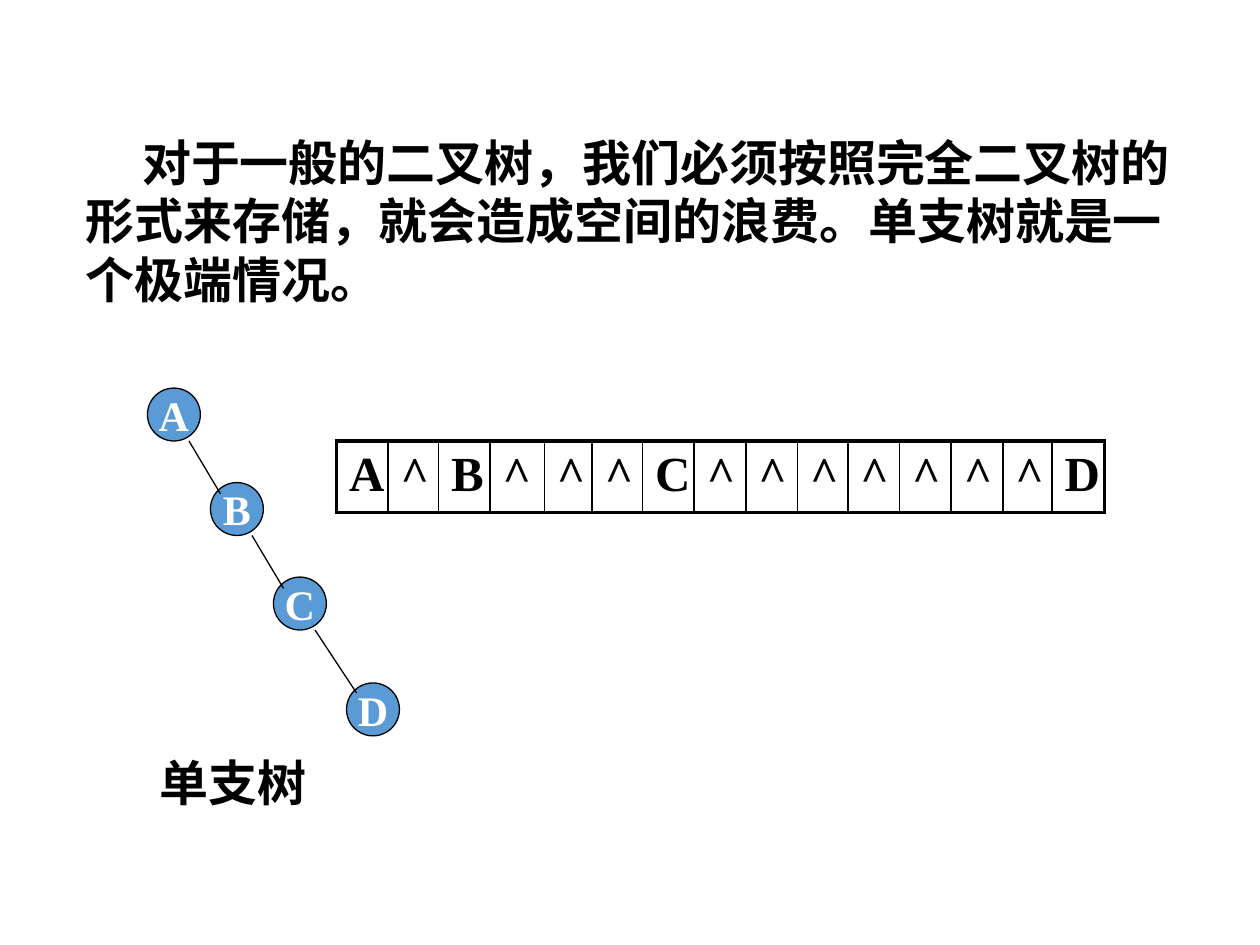
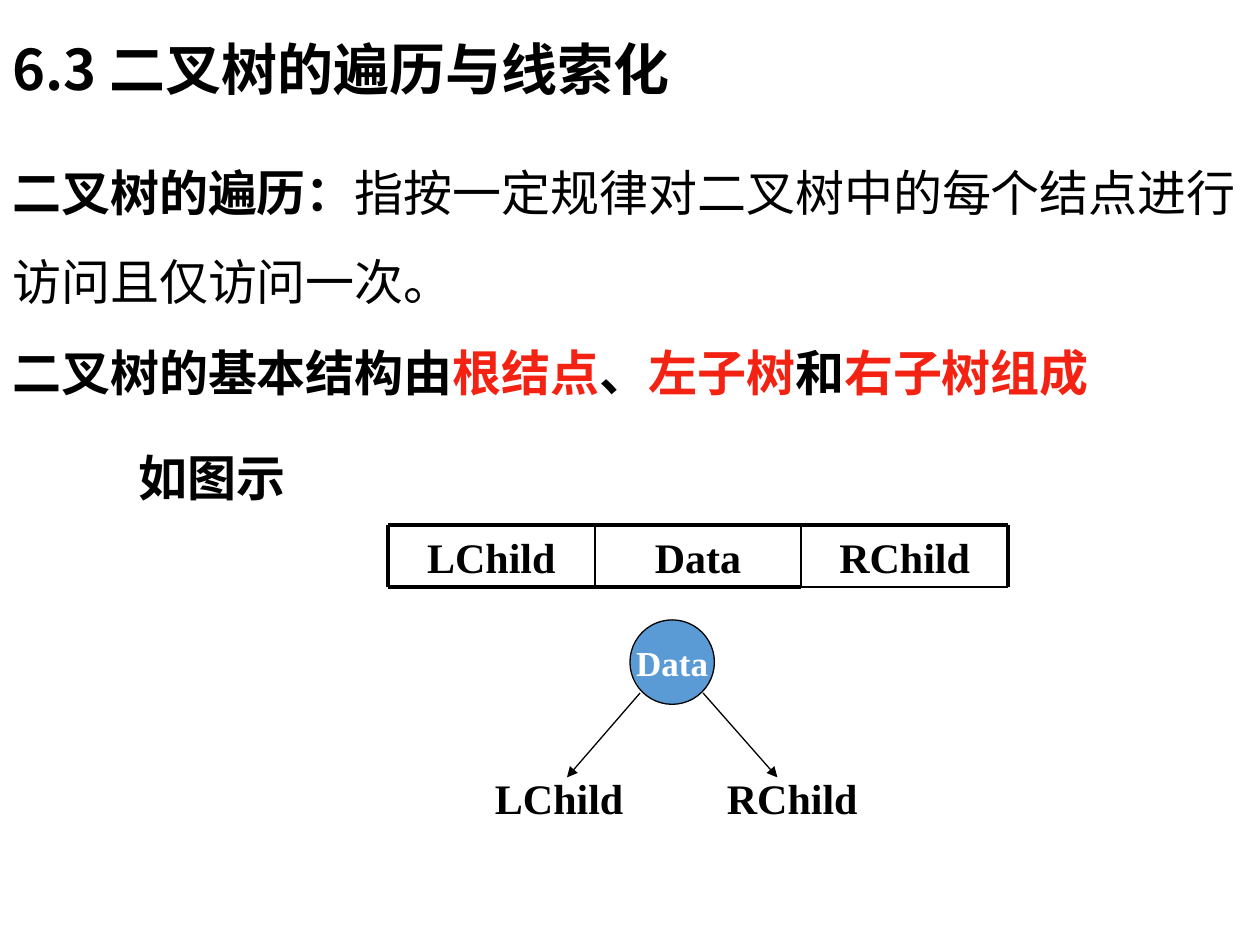
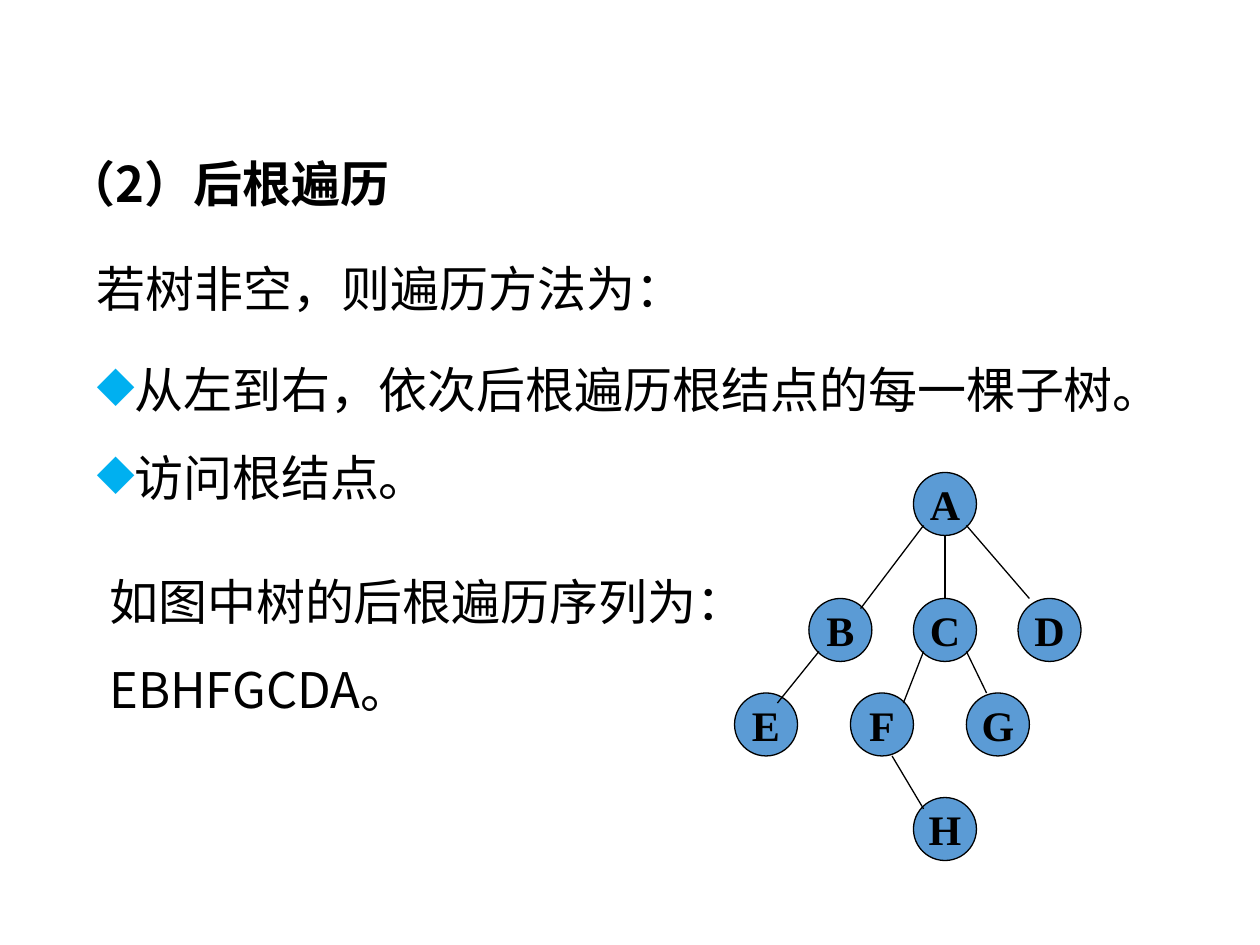
import pptx
import pptx.chart
import pptx.dml.color
import pptx.enum.shapes
import pptx.enum.text
import pptx.oxml
import pptx.oxml.ns
import pptx.util
from lxml import etree

Inches = pptx.util.Inches
Pt = pptx.util.Pt
ALIGN = pptx.enum.text.PP_ALIGN
ANCHOR = pptx.enum.text.MSO_ANCHOR

SERIF = "Times New Roman"
SANS = "Noto Sans CJK SC"
BLACK, WHITE, RED, BLUE, CYAN = "000000", "FFFFFF", "F42212", "5B9BD5", "00B0F0"
THIN, MEDIUM, THICK = 0.75, 1, 2.25
LINE_HEIGHT = 1.2

INTRO = "对于一般的二叉树，我们必须按照完全二叉树的形式来存储，就会造成空间的浪费。单支树就是一个极端情况。"
CHAIN_NODES = [("A", 1.17, 3.08), ("B", 1.67, 3.83), ("C", 2.17, 4.58), ("D", 2.75, 5.42)]
CHAIN_EDGES = [
    ((1.5, 3.5), (1.75, 3.92)),
    ((2, 4.25), (2.25, 4.67)),
    ((2.5, 5), (2.83, 5.5)),
]
STORAGE = "A^B^^^C^^^^^^^D"
STORAGE_WIDTHS = [0.41, 0.4, 0.41, 0.43, 0.38, 0.4, 0.41, 0.41, 0.41, 0.4, 0.41, 0.41, 0.41, 0.39, 0.42]

SECTION = "6.3 二叉树的遍历与线索化"
DEFINITION = [
    ("二叉树的遍历：", BLACK, True),
    ("指按一定规律对二叉树中的每个结点进行访问且仅访问一次。", BLACK, False),
]
STRUCTURE = [
    ("二叉树的基本结构由", BLACK, True),
    ("根结点", RED, True),
    ("、", BLACK, True),
    ("左子树", RED, True),
    ("和", BLACK, True),
    ("右子树组成", RED, True),
]
FIELDS = ["LChild", "Data", "RChild"]
CHILDREN = [("LChild", 3.83, (5.08, 5.5), (4.5, 6.17)), ("RChild", 5.67, (5.58, 5.5), (6.17, 6.17))]

POSTORDER = "（2）后根遍历"
METHOD = "若树非空，则遍历方法为："
STEPS = ["从左到右，依次后根遍历根结点的每一棵子树。", "访问根结点。"]
SEQUENCE = "如图中树的后根遍历序列为：EBHFGCDA。"
TREE_NODES = [
    ("A", 7.25, 3.75), ("B", 6.42, 4.75), ("E", 5.83, 5.5), ("C", 7.25, 4.75),
    ("D", 8.08, 4.75), ("F", 6.75, 5.5), ("G", 7.67, 5.5), ("H", 7.25, 6.33),
]
TREE_EDGES = [
    ((7.33, 4.17), (6.83, 4.83)),
    ((6.5, 5.17), (6.17, 5.58)),
    ((7.5, 4.25), (7.5, 4.75)),
    ((7.67, 4.17), (8.17, 4.75)),
    ((7.33, 5.17), (7.17, 5.58)),
    ((7.67, 5.17), (7.83, 5.5)),
    ((7.08, 6), (7.33, 6.42)),
]


def rgb(value):
    return pptx.dml.color.RGBColor.from_string(value)


def add_xml(parent, tag, **attributes):
    child = etree.SubElement(parent, pptx.oxml.ns.qn(tag))
    for key, value in attributes.items():
        child.set(key, str(value))
    return child


def format_run(run, size, font, color, bold):
    run.font.size = Pt(size)
    run.font.name = font
    run.font.bold = bold
    run.font.color.rgb = rgb(color)
    add_xml(run.font._element, "a:ea", typeface=SANS)


def write(frame, paragraphs, size=28, font=SERIF, spacing=1, align=ALIGN.LEFT, bullet=None, indent=0):
    frame.word_wrap = True
    frame.auto_size = pptx.enum.text.MSO_AUTO_SIZE.NONE
    frame.vertical_anchor = ANCHOR.TOP
    for index, pieces in enumerate(paragraphs):
        paragraph = frame.add_paragraph() if index else frame.paragraphs[0]
        properties = paragraph._p.get_or_add_pPr()
        if bullet:
            properties.set("marL", str(Inches(0.25)))
            properties.set("indent", str(-Inches(0.25)))
            add_xml(add_xml(properties, "a:buClr"), "a:srgbClr", val=CYAN)
            add_xml(properties, "a:buChar", char=bullet)
        elif indent:
            properties.set("indent", str(Inches(indent)))
        paragraph.alignment = align
        paragraph.line_spacing = Pt(size * LINE_HEIGHT * spacing)
        for wording, color, bold in pieces:
            run = paragraph.add_run()
            run.text = wording
            format_run(run, size, font, color, bold)


def plain(wording, bold=True):
    return [(wording, BLACK, bold)]


def add_text(slide, box, paragraphs, **style):
    write(slide.shapes.add_textbox(*map(Inches, box)).text_frame, paragraphs, **style)


def add_title(slide, box, wording, size):
    title = slide.shapes.title
    title.left, title.top, title.width, title.height = map(Inches, box)
    write(title.text_frame, [plain(wording)], size=size, font=SANS)


def add_node(slide, label, left, top, diameter, color, size=24):
    node = slide.shapes.add_shape(
        pptx.enum.shapes.MSO_SHAPE.OVAL, *map(Inches, (left, top, diameter, diameter)))
    node.shadow.inherit = False
    node.fill.solid()
    node.fill.fore_color.rgb = rgb(BLUE)
    node.line.color.rgb = rgb(BLACK)
    node.line.width = Pt(THIN)
    frame = node.text_frame
    frame.word_wrap = False
    frame.vertical_anchor = ANCHOR.MIDDLE
    frame.text = label
    frame.paragraphs[0].alignment = ALIGN.CENTER
    format_run(frame.paragraphs[0].runs[0], size, SERIF, color, True)


def add_line(slide, start, end, width=THIN, arrow=False):
    line = slide.shapes.add_connector(
        pptx.enum.shapes.MSO_CONNECTOR.STRAIGHT, *map(Inches, (*start, *end)))
    line.line.color.rgb = rgb(BLACK)
    line.line.width = Pt(width)
    if arrow:
        add_xml(line.line._get_or_add_ln(), "a:tailEnd", type="triangle")
    add_xml(line._element.spPr, "a:effectLst")


def add_tree(slide, nodes, edges, diameter, color):
    for label, left, top in nodes:
        add_node(slide, label, left, top, diameter, color)
    for start, end in edges:
        add_line(slide, start, end)


def add_storage(slide, left, top, height):
    count = len(STORAGE)
    frame = slide.shapes.add_table(
        1, count, *map(Inches, (left, top, sum(STORAGE_WIDTHS), height)))
    table = frame.table
    table.first_row = table.horz_banding = False
    table.rows[0].height = Inches(height)
    for index, (value, width) in enumerate(zip(STORAGE, STORAGE_WIDTHS)):
        table.columns[index].width = Inches(width)
        cell = table.cell(0, index)
        cell.text = value
        format_run(cell.text_frame.paragraphs[0].runs[0], 28, SERIF, BLACK, True)
        borders = {
            "L": MEDIUM if index else THICK,
            "R": MEDIUM if index < count - 1 else THICK,
            "T": THICK,
            "B": THICK,
        }
        properties = cell._tc.get_or_add_tcPr()
        for side, weight in borders.items():
            border = add_xml(properties, f"a:ln{side}", w=Pt(weight))
            add_xml(add_xml(border, "a:solidFill"), "a:srgbClr", val=BLACK)
        cell.fill.background()


def add_record(slide, left, top, width, height):
    edges = [round(left + width * index, 2) for index in range(len(FIELDS) + 1)]
    bottom = top + height
    for field, edge in zip(FIELDS, edges):
        add_text(slide, (edge, top, width, height), [plain(field)], size=24, align=ALIGN.CENTER)
    for edge in edges:
        add_line(slide, (edge, top), (edge, bottom), THICK if edge in (edges[0], edges[-1]) else MEDIUM)
    add_line(slide, (edges[0], top), (edges[-1], top), THICK)
    add_line(slide, (edges[0], bottom), (edges[-2], bottom), THICK)
    add_line(slide, (edges[-2], bottom), (edges[-1], bottom), MEDIUM)


def build_chain(slide):
    add_text(slide, (0.58, 1, 9, 1.5), [plain(INTRO)], indent=0.45)
    add_tree(slide, CHAIN_NODES, CHAIN_EDGES, 0.42, WHITE)
    add_storage(slide, 2.67, 3.5, 0.57)
    add_text(slide, (1.17, 5.92, 1.58, 0.57), [plain("单支树")])


def build_traversal(slide):
    add_title(slide, (0, 0.22, 9.17, 0.64), SECTION, 32)
    add_text(slide, (0, 1.01, 9.96, 1.51), [DEFINITION], spacing=1.5)
    add_text(slide, (0, 2.67, 9.87, 0.57), [STRUCTURE])
    add_record(slide, 3.08, 4.17, 1.64, 0.49)
    add_node(slide, "Data", 5, 4.92, 0.67, WHITE, 20)
    for child, left, start, end in CHILDREN:
        add_text(slide, (left, 6.08, 1.25, 0.5), [plain(child)], size=24)
        add_line(slide, start, end, arrow=True)
    add_text(slide, (1, 3.5, 1.58, 0.57), [plain("如图示")])


def build_postorder(slide):
    add_title(slide, (0.43, 1.17, 8.83, 0.57), POSTORDER, 28)
    add_text(slide, (0.67, 2, 8.92, 0.57), [plain(METHOD, False)], font=SANS)
    add_text(slide, (0.67, 2.57, 9.46, 1.51), [plain(step, False) for step in STEPS],
             font=SANS, spacing=1.5, bullet="◆")
    add_tree(slide, TREE_NODES, TREE_EDGES, 0.5, BLACK)
    add_text(slide, (0.77, 4.25, 5.07, 1.51), [plain(SEQUENCE, False)], font=SANS, spacing=1.5)


def main():
    deck = pptx.Presentation()
    deck.slide_width, deck.slide_height = Inches(10), Inches(7.5)
    title_only, blank = deck.slide_layouts[5], deck.slide_layouts[6]
    for layout, build in [(blank, build_chain), (title_only, build_traversal), (title_only, build_postorder)]:
        build(deck.slides.add_slide(layout))
    deck.save("out.pptx")


if __name__ == "__main__":
    main()
